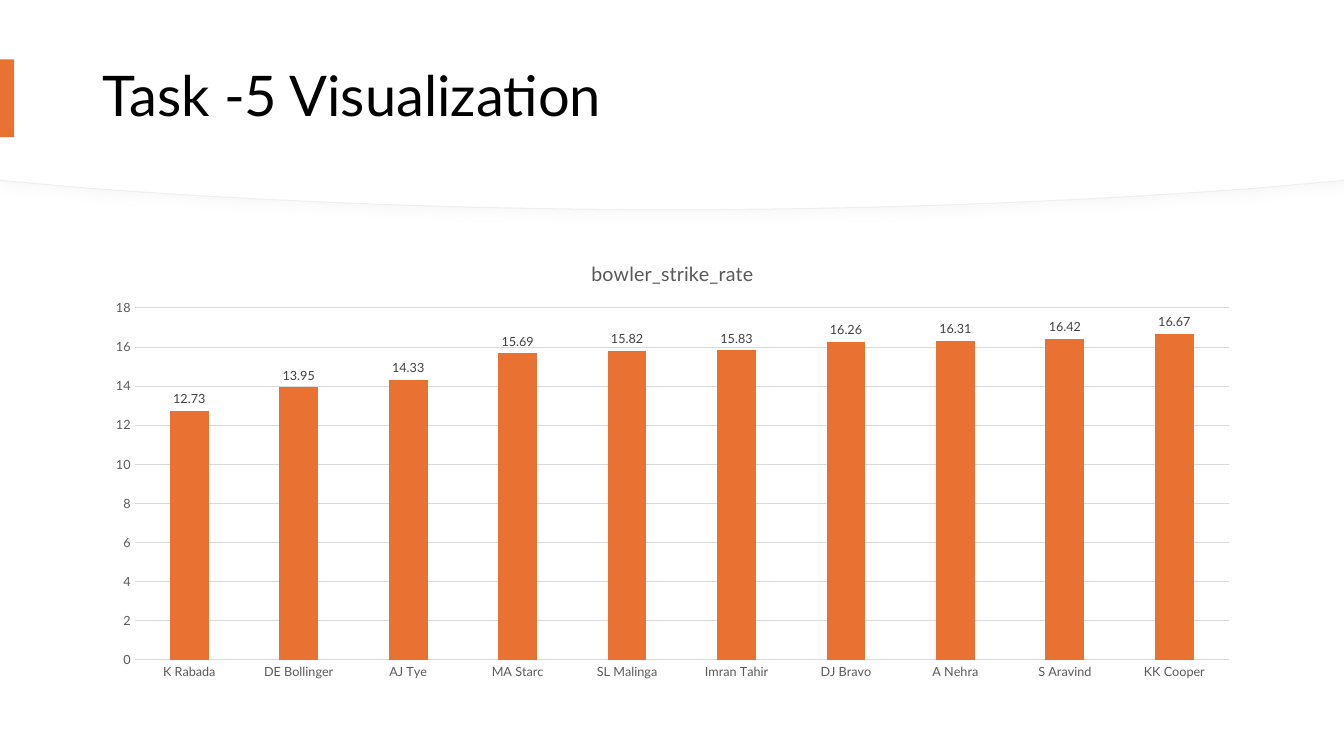
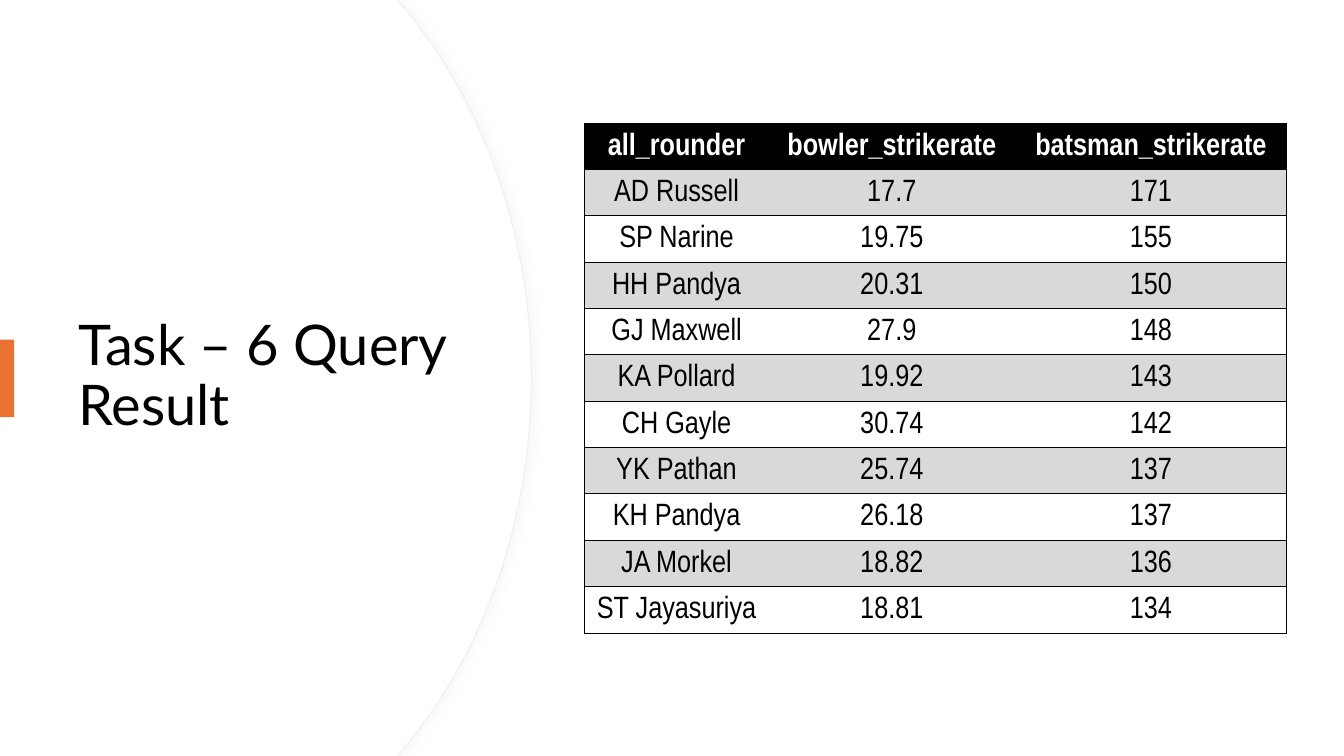
import pptx
import pptx.chart.data
import pptx.dml.color
import pptx.enum.chart
import pptx.enum.shapes
import pptx.enum.text
import pptx.oxml
import pptx.oxml.ns
import pptx.util
from pptx.util import Inches

# Shared look
FONT, TABLE_FONT = "Lato", "Arial Narrow"
BLACK, WHITE, ORANGE = "000000", "FFFFFF", "E97132"
GREY, EDGE, AXIS_TEXT, LABEL_TEXT = "D9D9D9", "EFEFEF", "595959", "404040"
NS = pptx.oxml.ns.nsdecls("a")

prs = pptx.Presentation()
prs.slide_width, prs.slide_height = Inches(13.33), Inches(7.5)


def rgb(color):
    return pptx.dml.color.RGBColor.from_string(color)


def add_titled_slide(title, box, bar_top, outline, shift, shadow_angle):
    """Slide with a curved white panel, a title and an orange marker bar.

    Each outline step holds one point for a line, three for a Bezier curve.
    """
    s = prs.slides.add_slide(prs.slide_layouts[6])

    # Edged panel with shadow, then a slightly smaller plain one on top
    for edged in (True, False):
        dx, dy = (0, 0) if edged else shift
        steps = [[(Inches(max(0, x - dx)), Inches(max(0, y - dy))) for x, y in step]
                 for step in outline]
        builder = s.shapes.build_freeform(0, 0)
        builder.add_line_segments([step[-1] for step in steps], close=True)
        panel = builder.convert_to_shape()

        # Bend the lines that have control points
        lines = panel._element.findall(".//" + pptx.oxml.ns.qn("a:lnTo"))
        for line, step in zip(lines, steps):
            if len(step) == 3:
                pts = "".join(f'<a:pt x="{x}" y="{y}"/>' for x, y in step)
                line.getparent().replace(line, pptx.oxml.parse_xml(
                    f"<a:cubicBezTo {NS}>{pts}</a:cubicBezTo>"))

        panel.shadow.inherit = False
        panel.fill.solid()
        panel.fill.fore_color.rgb = rgb(WHITE)
        if edged:
            panel.line.color.rgb = rgb(EDGE)
            panel.line.width = pptx.util.Pt(0.75)
            effects = panel._element.spPr.find(pptx.oxml.ns.qn("a:effectLst"))
            effects.append(pptx.oxml.parse_xml(
                f'<a:outerShdw {NS} blurRad="{pptx.util.Pt(7)}" dist="{pptx.util.Pt(3)}" '
                f'dir="{shadow_angle * 60000}" algn="tl" rotWithShape="0">'
                f'<a:srgbClr val="{GREY}"><a:alpha val="20000"/></a:srgbClr></a:outerShdw>'))
        else:
            panel.line.fill.background()

    # Title
    tf = s.shapes.add_textbox(*map(Inches, box)).text_frame
    tf.word_wrap = True
    tf.vertical_anchor = pptx.enum.text.MSO_ANCHOR.MIDDLE
    p = tf.paragraphs[0]
    p.text = title
    p.line_spacing = 0.9
    p.font.size, p.font.name = pptx.util.Pt(40), FONT
    p.font.color.rgb = rgb(BLACK)

    # Marker bar
    bar = s.shapes.add_shape(pptx.enum.shapes.MSO_SHAPE.RECTANGLE,
                             0, Inches(bar_top), Inches(0.14), Inches(0.77))
    bar.shadow.inherit = False
    bar.fill.solid()
    bar.fill.fore_color.rgb = rgb(ORANGE)
    bar.line.fill.background()
    return s


# Slide 1: column chart
s = add_titled_slide(
    "Task -5 Visualization", (0.92, 0.28, 11.5, 1.39), 0.59,
    outline=[[(13.33, 0)], [(13.33, 1.79)], [(12.42, 1.87)],
             [(10.65, 2), (8.71, 2.08), (6.67, 2.08)],
             [(4.63, 2.08), (2.68, 2), (0.91, 1.87)],
             [(0, 1.79)]],
    shift=(0, 0.01), shadow_angle=45)

strike_rates = {
    "K Rabada": 12.73, "DE Bollinger": 13.95, "AJ Tye": 14.33, "MA Starc": 15.69,
    "SL Malinga": 15.82, "Imran Tahir": 15.83, "DJ Bravo": 16.26, "A Nehra": 16.31,
    "S Aravind": 16.42, "KK Cooper": 16.67,
}
data = pptx.chart.data.CategoryChartData()
data.categories = list(strike_rates)
data.add_series("bowler_strike_rate", list(strike_rates.values()))
chart = s.shapes.add_chart(
    pptx.enum.chart.XL_CHART_TYPE.COLUMN_CLUSTERED,
    Inches(0.92), Inches(2.39), Inches(11.5), Inches(4.44), data).chart
chart.has_legend = False
chart.font.size, chart.font.name = pptx.util.Pt(10), FONT

# Chart title
chart.has_title = True
p = chart.chart_title.text_frame.paragraphs[0]
p.text = "bowler_strike_rate"
p.font.size, p.font.name, p.font.bold = pptx.util.Pt(14), FONT, False
p.font.color.rgb = rgb(AXIS_TEXT)

# Columns and their labels
plot = chart.plots[0]
plot.gap_width = 182
plot.vary_by_categories = False
series = plot.series[0]
series.format.fill.solid()
series.format.fill.fore_color.rgb = rgb(ORANGE)
labels = series.data_labels
labels.show_value = True
labels.position = pptx.enum.chart.XL_LABEL_POSITION.OUTSIDE_END

# Axes
cat_axis, val_axis = chart.category_axis, chart.value_axis
for part, color in ((cat_axis.tick_labels, AXIS_TEXT), (val_axis.tick_labels, AXIS_TEXT),
                    (labels, LABEL_TEXT)):
    part.font.size, part.font.name = pptx.util.Pt(9), FONT
    part.font.color.rgb = rgb(color)
for axis in (cat_axis, val_axis):
    axis.major_tick_mark = pptx.enum.chart.XL_TICK_MARK.NONE
    axis.minor_tick_mark = pptx.enum.chart.XL_TICK_MARK.NONE
val_axis.minimum_scale, val_axis.maximum_scale, val_axis.major_unit = 0, 18, 2
val_axis.has_major_gridlines = True
val_axis.format.line.fill.background()
for line in (cat_axis.format.line, val_axis.major_gridlines.format.line):
    line.color.rgb = rgb(GREY)
    line.width = pptx.util.Pt(0.75)

# Slide 2: result table
s = add_titled_slide(
    "Task – 6 Query Result", (0.68, 1.27, 3.94, 4.95), 3.37,
    outline=[[(3.94, 0)], [(4.01, 0.08)],
             [(4.79, 1.02), (5.27, 2.32), (5.27, 3.75)],
             [(5.27, 5.18), (4.79, 6.48), (4.01, 7.42)],
             [(3.94, 7.5)], [(0, 7.5)]],
    shift=(0.01, 0), shadow_angle=0)

rows = [
    ("all_rounder", "bowler_strikerate", "batsman_strikerate"),
    ("AD Russell", "17.7", "171"),
    ("SP Narine", "19.75", "155"),
    ("HH Pandya", "20.31", "150"),
    ("GJ Maxwell", "27.9", "148"),
    ("KA Pollard", "19.92", "143"),
    ("CH Gayle", "30.74", "142"),
    ("YK Pathan", "25.74", "137"),
    ("KH Pandya", "26.18", "137"),
    ("JA Morkel", "18.82", "136"),
    ("ST Jayasuriya", "18.81", "134"),
]
col_widths = (1.82, 2.45, 2.69)
table = s.shapes.add_table(len(rows), len(col_widths), Inches(5.8), Inches(1.22),
                           Inches(sum(col_widths)), Inches(0.46 * len(rows))).table
table.horz_banding = False
for col, width in zip(table.columns, col_widths):
    col.width = Inches(width)

for i, row in enumerate(rows):
    table.rows[i].height = Inches(0.46)
    for j, text in enumerate(row):
        cell = table.cell(i, j)
        cell.margin_left = cell.margin_right = cell.margin_top = Inches(0.02)
        cell.margin_bottom = 0
        cell.vertical_anchor = pptx.enum.text.MSO_ANCHOR.MIDDLE

        # Borders: every row line, and the outer sides only
        drawn = {"L": j == 0, "R": j == len(row) - 1, "T": True, "B": True}
        for side, visible in drawn.items():
            paint = (f'<a:solidFill><a:srgbClr val="{BLACK}"/></a:solidFill>'
                     if visible else "<a:noFill/>")
            cell._tc.get_or_add_tcPr().append(pptx.oxml.parse_xml(
                f'<a:ln{side} {NS} w="{pptx.util.Pt(0.5)}">{paint}</a:ln{side}>'))

        # Fill: black header, grey on odd rows
        if i % 2 or i == 0:
            cell.fill.solid()
            cell.fill.fore_color.rgb = rgb(GREY if i else BLACK)
        else:
            cell.fill.background()

        p = cell.text_frame.paragraphs[0]
        p.text = text
        p.alignment = pptx.enum.text.PP_ALIGN.CENTER
        p.font.size, p.font.name, p.font.bold = pptx.util.Pt(22), TABLE_FONT, i == 0
        p.font.color.rgb = rgb(BLACK if i else WHITE)

prs.save("out.pptx")
